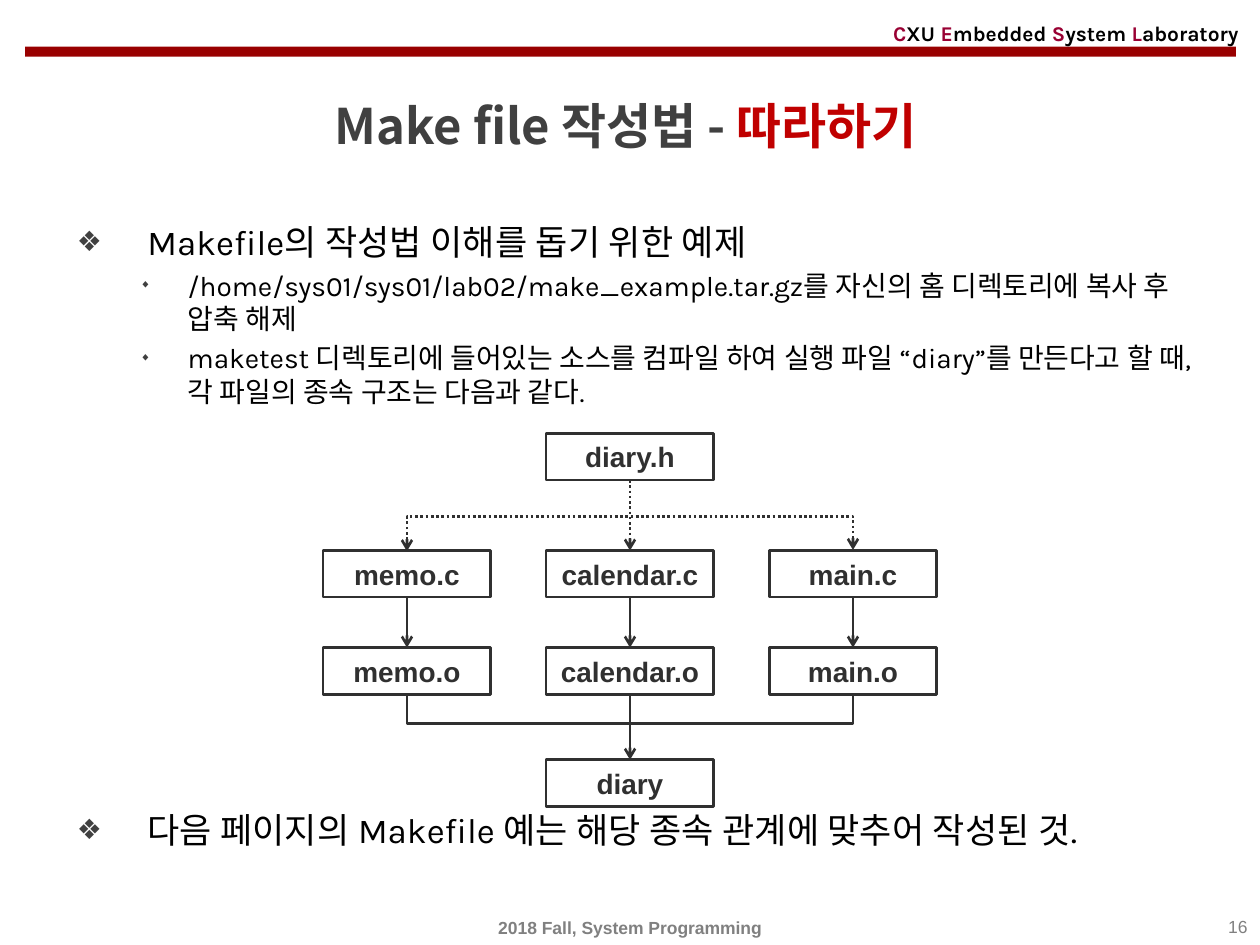
from lxml import etree
from pptx import Presentation
from pptx import util as u
from pptx.dml.color import RGBColor
from pptx.enum import dml, shapes, text
from pptx.oxml.ns import qn

CRIMSON = RGBColor(0x99, 0x00, 0x00)
PLUM = RGBColor(0x99, 0x00, 0x33)
RED = RGBColor(0xC0, 0x00, 0x00)
BLACK = RGBColor(0x00, 0x00, 0x00)
CHARCOAL = RGBColor(0x40, 0x40, 0x40)
INK = RGBColor(0x30, 0x30, 0x30)
GRAY = RGBColor(0x80, 0x80, 0x80)

HEADER = dict(name="Karla", size=u.Pt(12), bold=True)
TITLE = dict(name="Noto Sans CJK KR", size=u.Pt(28), bold=True)
FOOTER = dict(name="Arial", size=u.Pt(10), bold=True)
NUMBER = dict(name="Arial", size=u.Pt(10), bold=False)
NODE = dict(name="Arial", size=u.Pt(16), bold=True)

# Bullet, its size, font size, left margin and hanging indent for each level
LEVELS = [
    dict(bullet="❖", percent=80, size=20, margin=0.56, hang=0.56),
    dict(bullet="◆", percent=40, size=16, margin=0.88, hang=0.38),
]
BODY = [
    (0, "Makefile의 작성법 이해를 돕기 위한 예제", None),
    (1, "/home/sys01/sys01/lab02/make_example.tar.gz를 자신의 홈 디렉토리에 복사 후 압축 해제", None),
    (1, "maketest 디렉토리에 들어있는 소스를 컴파일 하여 실행 파일 “diary”를 만든다고 할 때, "
        "각 파일의 종속 구조는 다음과 같다.", None),
    (0, "다음 페이지의 Makefile 예는 해당 종속 관계에 맞추어 작성된 것.", 229),
]

# Diagram grid
COLUMNS = [3.23, 5, 6.77]
MODULES = ["memo", "calendar", "main"]
HEADER_ROW, SOURCE_ROW, OBJECT_ROW, PROGRAM_ROW = 3.44, 4.37, 5.14, 6.03
NODE_WIDTH, NODE_HEIGHT = 1.33, 0.37


def place(shape, left, top, width, height):
    box = dict(left=left, top=top, width=width, height=height)
    for name, value in box.items():
        setattr(shape, name, u.Inches(value))


def add_run(paragraph, words, color, style):
    run = paragraph.add_run()
    run.text = words
    for name, value in style.items():
        setattr(run.font, name, value)
    run.font.color.rgb = color
    # Korean text takes the same typeface
    latin = run._r.get_or_add_rPr().find(qn("a:latin"))
    east_asian = etree.Element(qn("a:ea"), typeface=style["name"])
    latin.addnext(east_asian)


def add_text(slide, box, runs, style, align, anchor):
    shape = slide.shapes.add_textbox(*map(u.Inches, box))
    shape.text_frame.word_wrap = True
    shape.text_frame.vertical_anchor = anchor
    paragraph = shape.text_frame.paragraphs[0]
    paragraph.alignment = align
    for words, color in runs:
        add_run(paragraph, words, color, style)


def add_rectangle(slide, left, top, width, height):
    shape = slide.shapes.add_shape(
        shapes.MSO_SHAPE.RECTANGLE, *map(u.Inches, (left, top, width, height)))
    shape.shadow.inherit = False
    return shape


def add_node(slide, label, center, top):
    shape = add_rectangle(slide, center - NODE_WIDTH / 2, top, NODE_WIDTH, NODE_HEIGHT)
    shape.fill.background()
    shape.line.color.rgb = INK
    shape.line.width = u.Pt(1.5)
    frame = shape.text_frame
    margins = dict(margin_left=0, margin_right=0, margin_top=0, margin_bottom=0)
    for name, value in margins.items():
        setattr(frame, name, value)
    frame.word_wrap = False
    frame.vertical_anchor = text.MSO_ANCHOR.MIDDLE
    frame.paragraphs[0].alignment = text.PP_ALIGN.CENTER
    add_run(frame.paragraphs[0], label, INK, NODE)


def add_line(slide, start, end, kind=shapes.MSO_CONNECTOR.STRAIGHT, dotted=False, arrows=("tailEnd",)):
    line = slide.shapes.add_connector(kind, *map(u.Inches, (*start, *end)))
    line.line.color.rgb = INK
    line.line.width = u.Pt(1.5)
    if dotted:
        line.line.dash_style = dml.MSO_LINE.ROUND_DOT
    properties = line._element.spPr
    for arrow in arrows:
        etree.SubElement(properties.find(qn("a:ln")), qn("a:" + arrow), type="arrow")
    etree.SubElement(properties, qn("a:effectLst"))
    return line


def add_bracket(slide, level, depth, upward, **style):
    """Join the outer columns by an elbow line that turns at the given depth."""
    thin, span = 0.01, COLUMNS[-1] - COLUMNS[0]
    left, top = COLUMNS[1] - thin / 2, level - span / 2
    line = add_line(slide, (left, top), (left + thin, top + span),
                    shapes.MSO_CONNECTOR.ELBOW, **style)
    properties = line._element.spPr
    frame = properties.find(qn("a:xfrm"))
    frame.set("rot", "5400000")
    if upward:
        frame.set("flipH", "1")
        frame.set("flipV", "1")
    geometry = properties.find(qn("a:prstGeom"))
    guides = geometry.find(qn("a:avLst"))
    if guides is None:
        guides = etree.SubElement(geometry, qn("a:avLst"))
    etree.SubElement(guides, qn("a:gd"), name="adj1", fmla=f"val {round(depth / thin * 100000)}")


def add_item(paragraph, level, words, space_before):
    form = LEVELS[level]
    paragraph.level = level
    if space_before:
        paragraph.space_before = u.Pt(space_before)
    properties = paragraph._p.get_or_add_pPr()
    properties.set("marL", str(u.Inches(form["margin"])))
    properties.set("indent", str(-u.Inches(form["hang"])))
    color = etree.SubElement(properties, qn("a:buClr"))
    etree.SubElement(color, qn("a:srgbClr"), val=str(CHARCOAL))
    etree.SubElement(properties, qn("a:buSzPct"), val=str(form["percent"] * 1000))
    etree.SubElement(properties, qn("a:buChar"), char=form["bullet"])
    add_run(paragraph, words, BLACK, dict(name="Karla", size=u.Pt(form["size"])))


def fill_placeholders(slide):
    title, body = slide.shapes.title, slide.placeholders[1]
    place(title, 0.21, 0.6, 9.6, 0.79)
    place(body, 0.51, 1.7, 9.06, 5.28)
    for shape in (title, body):
        shape.text_frame.auto_size = text.MSO_AUTO_SIZE.NONE
    heading = title.text_frame.paragraphs[0]
    heading.alignment = text.PP_ALIGN.CENTER
    add_run(heading, "Make file 작성법 - ", CHARCOAL, TITLE)
    add_run(heading, "따라하기 ", RED, TITLE)
    for index, item in enumerate(BODY):
        frame = body.text_frame
        add_item(frame.add_paragraph() if index else frame.paragraphs[0], *item)


def add_frame(slide):
    bar = add_rectangle(slide, 0.2, 0.37, 9.61, 0.08)
    bar.fill.solid()
    bar.fill.fore_color.rgb = CRIMSON
    bar.line.fill.background()
    align, anchor = text.PP_ALIGN, text.MSO_ANCHOR
    laboratory = []
    for word in ("CXU ", "Embedded ", "System ", "Laboratory"):
        laboratory += [(word[0], PLUM), (word[1:], BLACK)]
    add_text(slide, (6.99, 0.12, 3.03, 0.28), laboratory, HEADER, align.LEFT, anchor.MIDDLE)
    add_text(slide, (0, 7.22, 10, 0.28), [("2018 Fall, System Programming", GRAY)],
             FOOTER, align.CENTER, anchor.MIDDLE)
    add_text(slide, (7.67, 7.22, 2.33, 0.28), [("16", GRAY)], NUMBER, align.RIGHT, anchor.TOP)


def add_diagram(slide):
    middle = COLUMNS[1]
    # Files
    add_node(slide, "diary.h", middle, HEADER_ROW)
    add_node(slide, "diary", middle, PROGRAM_ROW)
    for module, center in zip(MODULES, COLUMNS):
        add_node(slide, module + ".c", center, SOURCE_ROW)
        add_node(slide, module + ".o", center, OBJECT_ROW)
        add_line(slide, (center, SOURCE_ROW + NODE_HEIGHT), (center, OBJECT_ROW))
    # Dependencies
    add_line(slide, (middle, HEADER_ROW + NODE_HEIGHT), (middle, SOURCE_ROW), dotted=True)
    add_line(slide, (middle, OBJECT_ROW + NODE_HEIGHT), (middle, PROGRAM_ROW))
    add_bracket(slide, SOURCE_ROW, 0.28, True, dotted=True, arrows=("headEnd", "tailEnd"))
    add_bracket(slide, OBJECT_ROW + NODE_HEIGHT, 0.24, False, arrows=())


def main():
    presentation = Presentation()
    presentation.slide_width = u.Inches(10)
    presentation.slide_height = u.Inches(7.5)
    slide = presentation.slides.add_slide(presentation.slide_layouts[1])
    add_frame(slide)
    fill_placeholders(slide)
    add_diagram(slide)
    presentation.save("out.pptx")


main()
